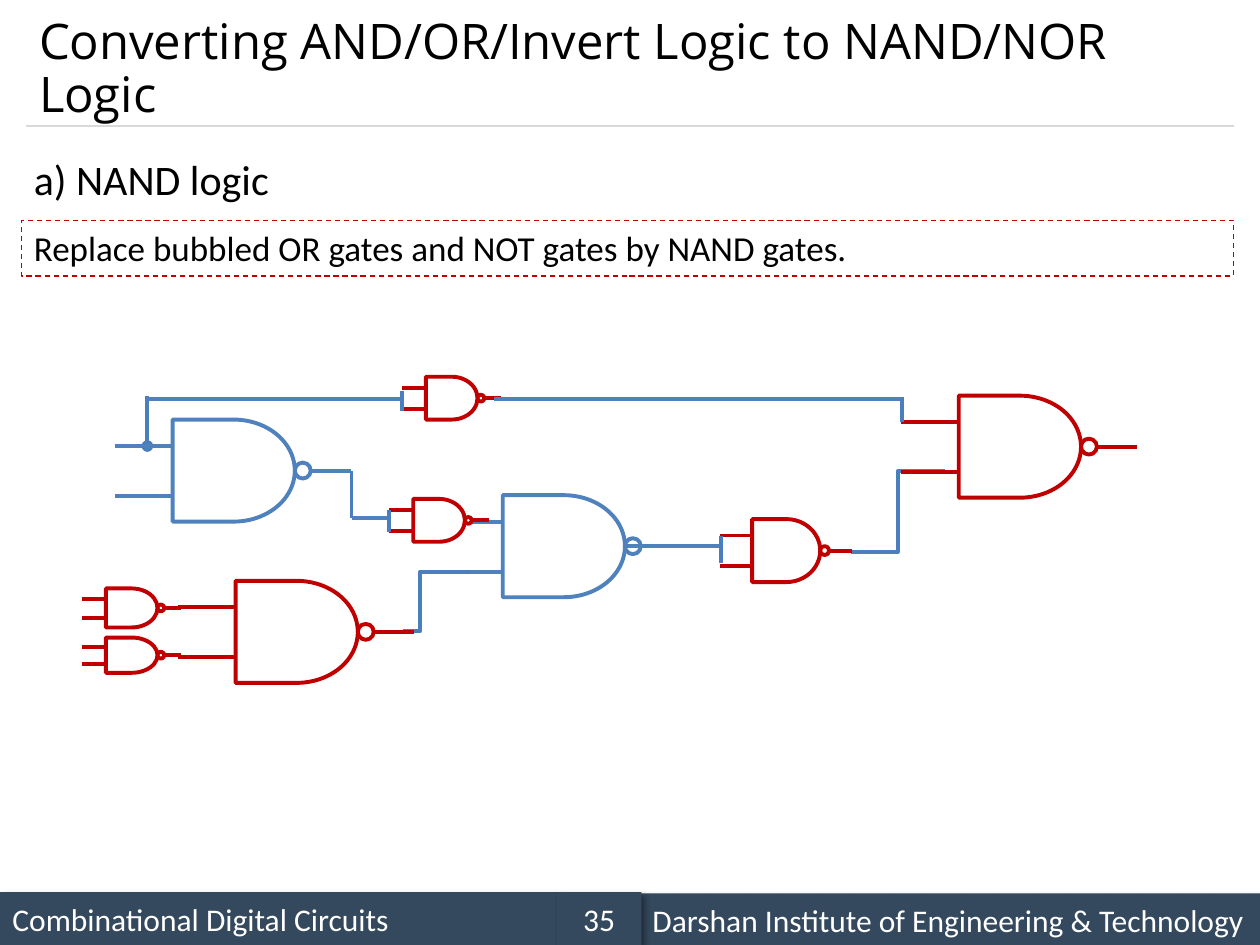
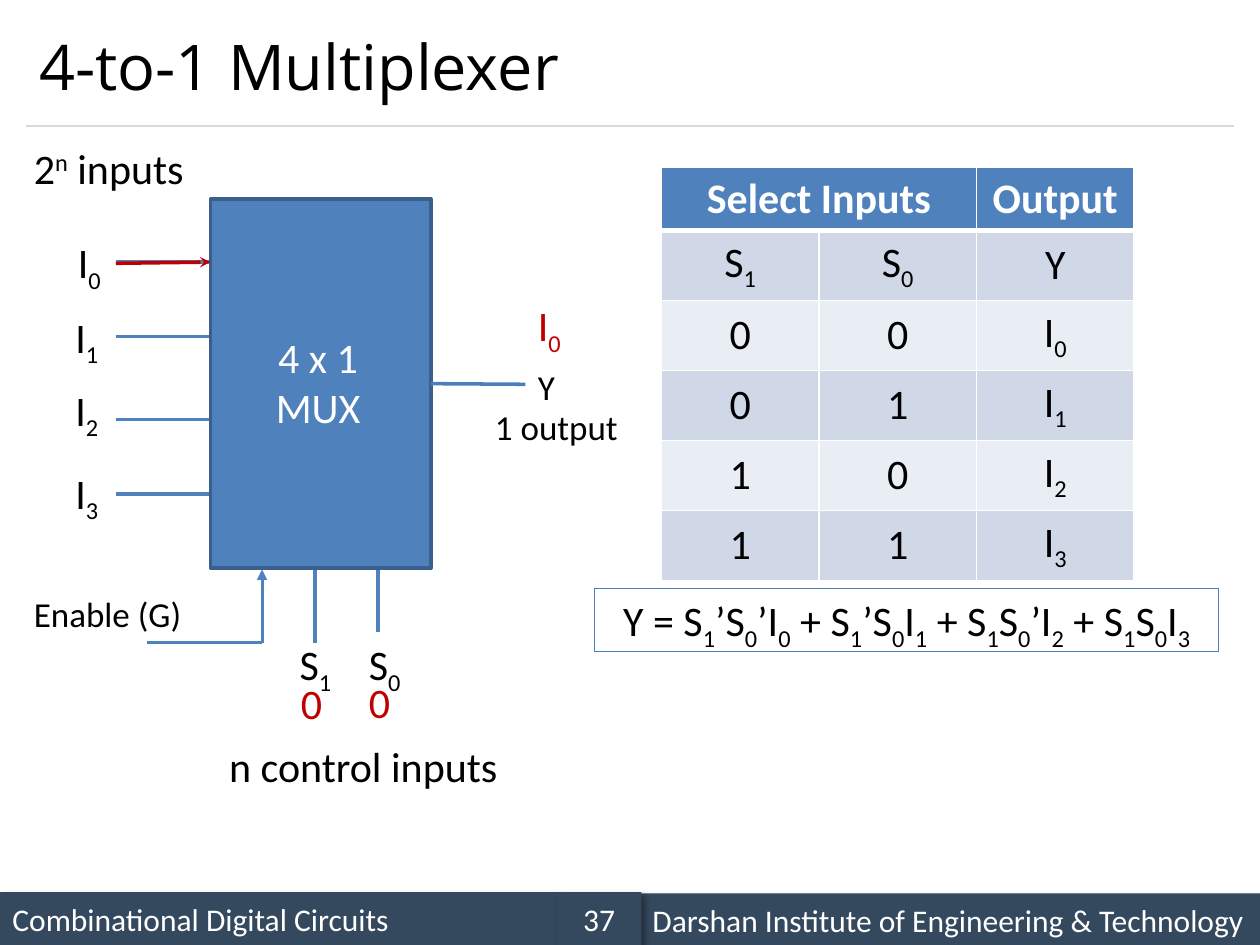
from pptx import Presentation
from pptx import util as u
from pptx.dml.color import RGBColor
from pptx.enum import dml, shapes, text
from pptx.oxml import parse_xml
from pptx.oxml.ns import nsdecls, qn

BLUE, EDGE, RED = "4F81BD", "4B7EBC", "C00000"
BLACK, WHITE, NAVY, GREY = "000000", "FFFFFF", "34495E", "D9D9D9"
FONT, HEAD = "Calibri", "Open Sans"
BODY = 24
LEFT, MID = text.PP_ALIGN.LEFT, text.PP_ALIGN.CENTER
TOP, CORE = text.MSO_ANCHOR.TOP, text.MSO_ANCHOR.MIDDLE
KIND = shapes.MSO_SHAPE
LINE, ELBOW = shapes.MSO_CONNECTOR.STRAIGHT, shapes.MSO_CONNECTOR.ELBOW


def rgb(code):
    return RGBColor.from_string(code)


def inch(*nums):
    return [u.Inches(n) for n in nums]


def style(obj, vals):
    for name, val in vals.items():
        setattr(obj, name, val)


def xml(tag, inner="", attrs=""):
    return parse_xml(f"<a:{tag} {nsdecls('a')} {attrs}>{inner}</a:{tag}>")


def split(src):
    """Yield (piece, baseline); _ lowers and ^ raises the next character."""
    plain, shift = "", None
    for char in src:
        if char in "_^":
            if plain:
                yield plain, None
            plain, shift = "", "-25000" if char == "_" else "30000"
        elif shift:
            yield char, shift
            shift = None
        else:
            plain += char
    if plain:
        yield plain, None


def write(frame, src, size=BODY, color=BLACK, align=LEFT, font=FONT, bold=False):
    para = frame.paragraphs[0]
    para.alignment = align
    for piece, shift in split(src):
        run = para.add_run()
        run.text = piece
        style(run.font, {"size": u.Pt(size), "name": font, "bold": bold})
        run.font.color.rgb = rgb(color)
        if shift:
            run._r.get_or_add_rPr().set("baseline", shift)
    return para


def label(slide, src, x, y, w, size=BODY, color=BLACK, align=LEFT, wrap=True):
    high = 0.5 if size == BODY else 0.44
    frame = slide.shapes.add_textbox(*inch(x, y, w, high)).text_frame
    style(frame, {"word_wrap": wrap,
                  "auto_size": text.MSO_AUTO_SIZE.SHAPE_TO_FIT_TEXT})
    write(frame, src, size, color, align)


def shape(slide, kind, x, y, w, h, fill=None, edge=None, width=0.75):
    item = slide.shapes.add_shape(kind, *inch(x, y, w, h))
    item.shadow.inherit = False
    if fill:
        item.fill.solid()
        item.fill.fore_color.rgb = rgb(fill)
    else:
        item.fill.background()
    if edge:
        item.line.color.rgb = rgb(edge)
        item.line.width = u.Pt(width)
    else:
        item.line.fill.background()
    return item


def wire(slide, x1, y1, x2, y2, color=BLUE, width=2.25, kind=LINE,
         head=None, tail=None, bend=None):
    item = slide.shapes.add_connector(kind, *inch(x1, y1, x2, y2))
    item.line.color.rgb = rgb(color)
    item.line.width = u.Pt(width)
    for tag, end in (("headEnd", head), ("tailEnd", tail)):
        if end:
            item.line._get_or_add_ln().append(xml(tag, attrs=f'type="{end}"'))
    props = item._element.spPr
    props.append(xml("effectLst"))
    if bend:
        geom = props.find(qn("a:prstGeom"))
        for old in list(geom):
            geom.remove(old)
        guide = f'<a:gd name="adj1" fmla="val {round(bend * 100000)}"/>'
        geom.append(xml("avLst", guide))
    return item


def band(slide, src, x, y, w, align=LEFT):
    """Add one part of the footer."""
    item = shape(slide, KIND.RECTANGLE, x, y, w, 0.42, NAVY)
    props = item._element.spPr
    props.remove(props.find(qn("a:effectLst")))
    glow = ('<a:outerShdw blurRad="50800" dist="38100" dir="2700000" algn="tl" '
            'rotWithShape="0"><a:srgbClr val="000000"><a:alpha val="40000"/>'
            '</a:srgbClr></a:outerShdw>')
    props.append(xml("effectLst", glow))
    style(item.text_frame, {"vertical_anchor": CORE, "word_wrap": True})
    write(item.text_frame, src, 18, WHITE, align)


def page(deck, title, size, number):
    slide = deck.slides.add_slide(deck.slide_layouts[5])
    band(slide, "Combinational Digital Circuits", 0, 7.08, 4.42)
    wire(slide, 0.21, 1, 9.79, 1, GREY, 0.75)
    band(slide, "Darshan Institute of Engineering & Technology", 5.08, 7.09, 4.92)
    band(slide, number, 4.42, 7.08, 0.67, MID)
    head = slide.shapes.title
    style(head, dict(zip(("left", "top", "width", "height"),
                         inch(0.21, 0.12, 9.58, 0.88))))
    style(head.text_frame, {"vertical_anchor": CORE, "word_wrap": True,
                            "auto_size": text.MSO_AUTO_SIZE.NONE})
    write(head.text_frame, title, size, font=HEAD).line_spacing = 0.9
    return slide


def frame(slide, src, x, y, w, h, edge, size, align=LEFT):
    """Add an outlined box of text."""
    item = shape(slide, KIND.RECTANGLE, x, y, w, h, None, edge)
    style(item.text_frame, {"vertical_anchor": TOP, "word_wrap": True})
    write(item.text_frame, src, size, BLACK, align)
    return item


def gate(slide, x, y, w, h, color, fill=None, leads=(0.47, 0.47)):
    """Add a NAND gate; leads are input lengths as shares of the width."""
    dot, mid = 0.13 * w, y + h / 2
    for part, lead in zip((0.26, 0.75), leads):
        wire(slide, x - lead * w, y + part * h, x, y + part * h, color)
    wire(slide, x + w + dot, mid, x + 1.33 * w + dot, mid, color)
    shape(slide, KIND.OVAL, x + w, mid - dot / 2, dot, dot, None, color, 2.25)
    shape(slide, KIND.FLOWCHART_DELAY, x, y, w, h, fill, color, 2.25)


def circuit(slide, x, y):
    def link(x1, y1, x2, y2, *args, **opts):
        wire(slide, x + x1, y + y1, x + x2, y + y2, *args, **opts)

    big = (0.97, 0.81)
    gate(slide, x + 3.35, y + 0.94, *big, BLUE, leads=(0.26, 0.47))
    link(2.56, 2.02, 3.1, 1.55, EDGE, kind=ELBOW, bend=0.25)
    link(6.11, 1.39, 6.86, 0.75, EDGE, kind=ELBOW, bend=0.5)
    link(0.53, 0.55, 0.53, 0.15, EDGE, head="oval")
    for left, top, color in ((1.23, 1.62, RED), (6.97, 0.15, RED),
                             (0.73, 0.34, BLUE)):
        gate(slide, x + left, y + top, *big, color)
    gate(slide, x + 5.33, y + 1.13, 0.54, 0.5, RED)
    for left, top, high in ((2.74, 0, 0.34), (2.64, 0.97, 0.34),
                            (0.2, 1.68, 0.31), (0.2, 2.07, 0.28)):
        gate(slide, x + left, y + top, 0.41, high, RED, WHITE)
    for left, top, end in ((2.45, 1.06, 1.23), (2.15, 0.75, 1.12),
                           (2.55, 0.11, 0.27), (5.08, 1.26, 1.48),
                           (6.52, 0.16, 0.36)):
        link(left, top, left, end, EDGE)
    for left, end, top in ((2.15, 2.43, 1.12), (0.52, 2.25, 0.18),
                           (2.25, 2.54, 0.18), (4.33, 5.07, 1.34),
                           (3.28, 6.51, 0.18)):
        link(left, top, end, top)


def mux(slide, x, y):
    def link(x1, y1, x2, y2, *args, **opts):
        return wire(slide, x + x1, y + y1, x + x2, y + y2, *args, **opts)

    def note(src, left, top, w, *args, **opts):
        label(slide, src, x + left, y + top, w, *args, **opts)

    pins = zip((1, 1.59, 2.25, 2.84), (0.75, 1.34, 1.92, 2.58))
    for num, (level, top) in enumerate(pins):
        link(1.5, level, 0.75, level, width=2)
        note(f"I_{num}", 0.33 if num else 0.35, top, 0.4, wrap=False)
    link(1, 4.02, 1.91, 4.02, width=1.75)
    link(1.91, 4.02, 1.91, 3.44, width=1.75, tail="triangle")
    link(2.33, 3.44, 2.33, 4.02, width=1.75)
    link(2.83, 3.44, 2.83, 3.94, width=1.75)
    for src, left, top, w, size, color in (
            ("S_0", 2.66, 3.94, 0.47, BODY, BLACK),
            ("S_1", 2.11, 3.94, 0.47, BODY, BLACK),
            ("Y", 4, 1.77, 0.34, 20, BLACK),
            ("0", 2.12, 4.25, 0.37, BODY, RED),
            ("0", 2.66, 4.24, 0.37, BODY, RED),
            ("I_0", 4, 1.25, 0.4, BODY, RED)):
        note(src, left, top, w, size, color, wrap=False)
    note("1 output", 3.66, 2.09, 1.33, 20)
    note("n control inputs", 1.55, 4.75, 2.33)
    note("2^n inputs", 0, 0, 1.5)
    note("Enable (G)", 0, 3.57, 1.42, 20)
    block = shape(slide, KIND.RECTANGLE, x + 1.5, y + 0.5, 1.75, 2.93,
                  BLUE, "3A5F8C", 2)
    link(4, 1.97, 3.25, 1.97, EDGE, 2).end_connect(block, 3)
    note("4 x 1 MUX", 1.79, 1.5, 1.13, BODY, WHITE, MID)
    link(0.75, 1.01, 1.5, 1, RED, 2, tail="stealth")


def cell(item, src, fill, color, bold, base):
    """Fill a table cell; base is the width of its lower border."""
    props = item._tc.get_or_add_tcPr()
    for side, width in (("L", 1), ("R", 1), ("T", 1), ("B", base)):
        paint = f'<a:solidFill><a:srgbClr val="{WHITE}"/></a:solidFill>'
        props.append(xml("ln" + side, paint, f'w="{u.Pt(width)}"'))
    item.fill.solid()
    item.fill.fore_color.rgb = rgb(fill)
    item.vertical_anchor = CORE
    if src:
        write(item.text_frame, src, BODY, color, MID, bold=bold)


def truth(slide, x, y, w, h):
    rows = [("Select Inputs", "", "Output"), ("S_1", "S_0", "Y")]
    rows += [(str(n // 2), str(n % 2), f"I_{n}") for n in range(4)]
    grid = slide.shapes.add_table(len(rows), 3, *inch(x, y, w, h)).table
    grid.cell(0, 0).merge(grid.cell(0, 1))
    for r, row in enumerate(rows):
        look = (("D0D8E8" if r % 2 else "E9EDF4", BLACK, False, 1) if r
                else (BLUE, WHITE, True, 3))
        for c, src in enumerate(row):
            cell(grid.cell(r, c), src, *look)


def main():
    deck = Presentation()
    deck.slide_width, deck.slide_height = inch(10, 7.5)

    slide = page(deck, "Converting AND/OR/Invert Logic to NAND/NOR Logic", 28, "35")
    label(slide, "a) NAND logic", 0.17, 1.17, 9.62)
    rule = frame(slide, "Replace bubbled OR gates and NOT gates by NAND gates.",
                 0.17, 1.75, 9.62, 0.44, RED, 20)
    rule.line.dash_style = dml.MSO_LINE.DASH
    circuit(slide, 0.64, 2.99)

    slide = page(deck, "4-to-1 Multiplexer", 36, "37")
    mux(slide, 0.17, 1.08)
    truth(slide, 5.25, 1.33, 3.75, 3)
    frame(slide, "Y = S_1’S_0’I_0 + S_1’S_0I_1 + S_1S_0’I_2 + S_1S_0I_3",
          4.72, 4.67, 4.95, 0.5, EDGE, BODY, MID)
    deck.save("out.pptx")


if __name__ == "__main__":
    main()
